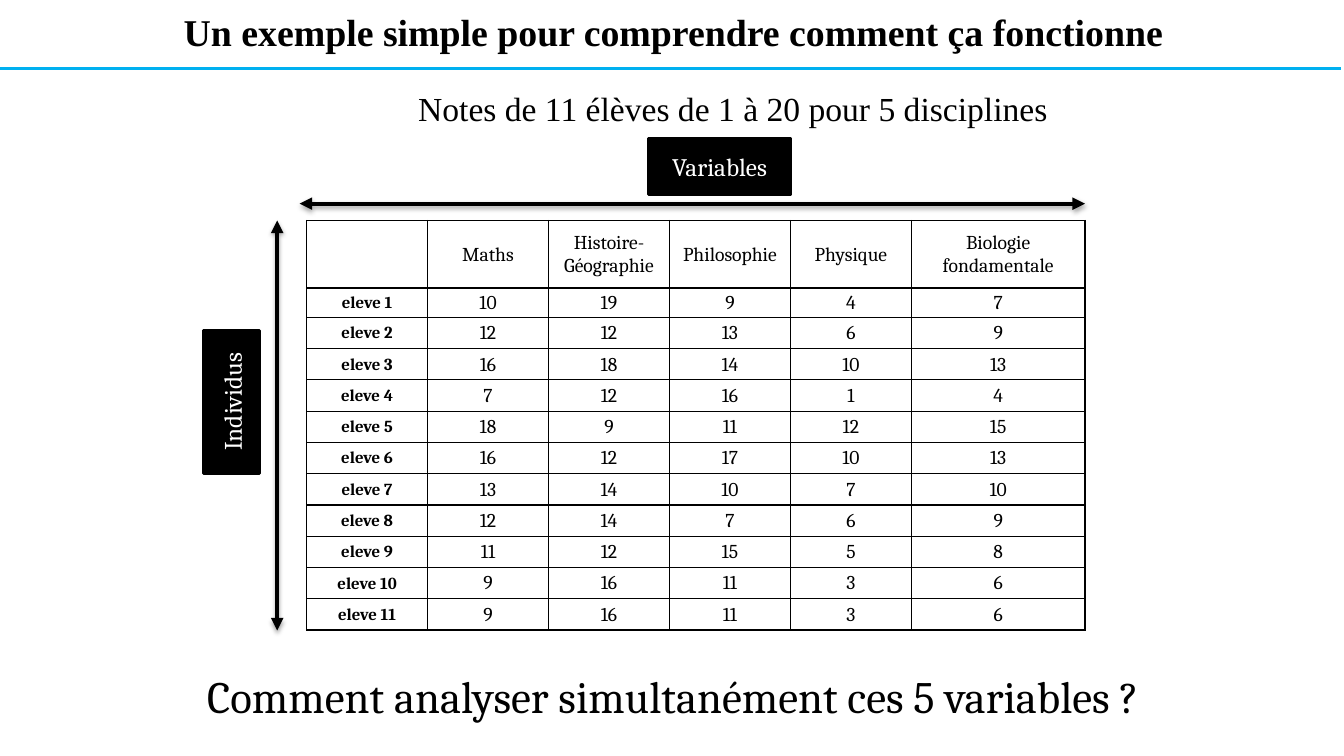
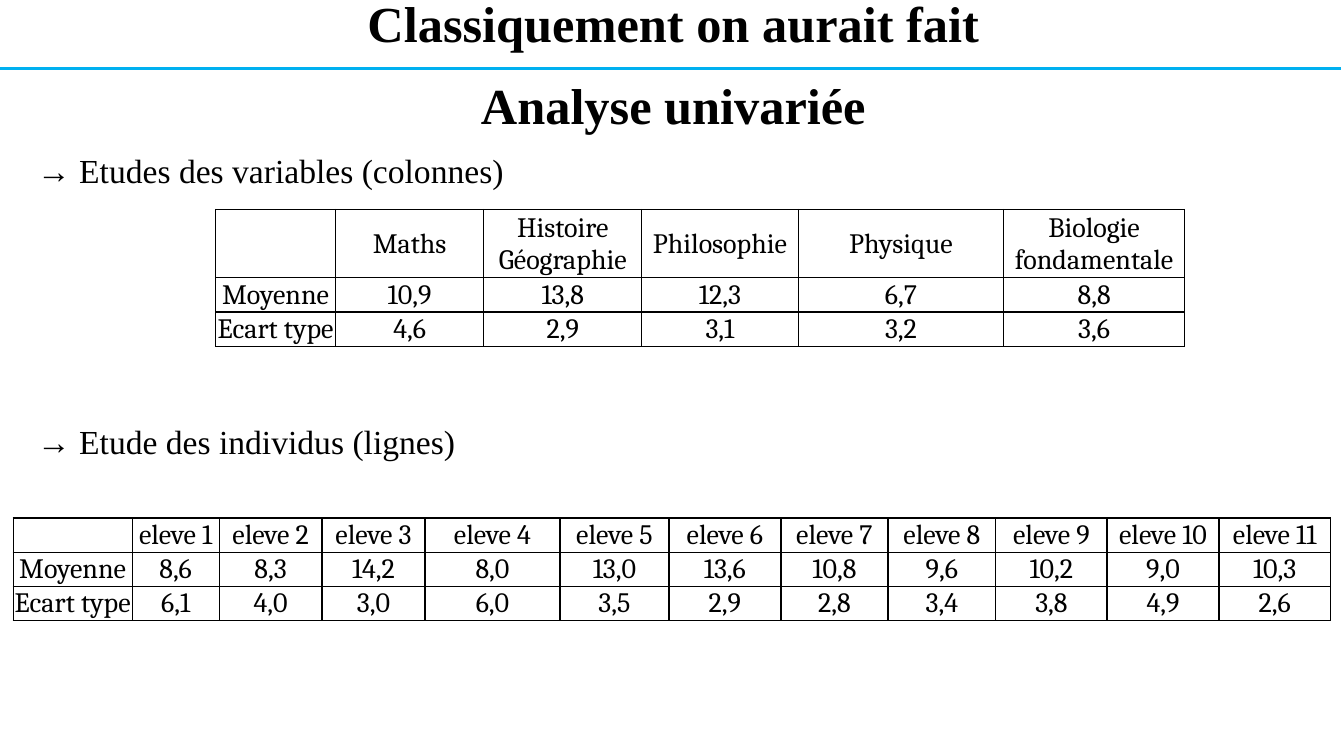
from dataclasses import dataclass

from lxml import etree
from pptx import Presentation
from pptx.dml.color import RGBColor
from pptx.enum.shapes import MSO_CONNECTOR, MSO_SHAPE
from pptx.enum.text import MSO_ANCHOR, MSO_AUTO_SIZE, PP_ALIGN
from pptx.oxml.ns import qn
from pptx.util import Pt

LEFT, CENTER = PP_ALIGN.LEFT, PP_ALIGN.CENTER
TOP, MIDDLE, BOTTOM = MSO_ANCHOR.TOP, MSO_ANCHOR.MIDDLE, MSO_ANCHOR.BOTTOM
STRAIGHT, RECT = MSO_CONNECTOR.STRAIGHT, MSO_SHAPE.RECTANGLE
NO_FIT = MSO_AUTO_SIZE.NONE
TITLE_ONLY = 5


@dataclass(frozen=True)
class Theme:
    ink: str = "000000"
    paper: str = "FFFFFF"
    accent: str = "00B0F0"
    serif: str = "Times New Roman"
    body: str = "Cambria"
    heading: int = 36
    question: int = 32
    long_title: int = 27
    lead: int = 24
    stats: int = 20
    label: int = 18
    marks: int = 14
    pupil: int = 12


T = Theme()
PUPILS = [f"eleve {n}" for n in range(1, 12)]
MARKS = [
    (10, 19, 9, 4, 7), (12, 12, 13, 6, 9), (16, 18, 14, 10, 13),
    (7, 12, 16, 1, 4), (18, 9, 11, 12, 15), (16, 12, 17, 10, 13),
    (13, 14, 10, 7, 10), (12, 14, 7, 6, 9), (11, 12, 15, 5, 8),
    (9, 16, 11, 3, 6), (9, 16, 11, 3, 6),
]
MARK_ROWS = [
    ["", "Maths", "Histoire-Géographie", "Philosophie", "Physique", "Biologie fondamentale"],
    *([pupil, *marks] for pupil, marks in zip(PUPILS, MARKS)),
]
SUBJECT_ROWS = [
    ["", "Maths", "Histoire Géographie", "Philosophie", "Physique", "Biologie fondamentale"],
    ["Moyenne", "10,9", "13,8", "12,3", "6,7", "8,8"],
    ["Ecart type", "4,6", "2,9", "3,1", "3,2", "3,6"],
]
PUPIL_ROWS = [
    ["", *PUPILS],
    ["Moyenne", "8,6", "8,3", "14,2", "8,0", "13,0", "13,6", "10,8", "9,6", "10,2", "9,0", "10,3"],
    ["Ecart type", "6,1", "4,0", "3,0", "6,0", "3,5", "2,9", "2,8", "3,4", "3,8", "4,9", "2,6"],
]


def pts(*values):
    return [Pt(v) for v in values]


def set_all(obj, values):
    for name, value in values.items():
        setattr(obj, name, value)


def write(tf, text, size, font=T.body, color=T.ink, bold=False, align=CENTER, anchor=TOP):
    set_all(tf, {"word_wrap": True, "auto_size": NO_FIT, "vertical_anchor": anchor})
    p = tf.paragraphs[0]
    p.alignment = align
    r = p.add_run()
    r.text = text
    set_all(r.font, {"name": font, "size": Pt(size), "bold": bold})
    r.font.color.rgb = RGBColor.from_string(color)
    return p


def add_text(s, box, text, size, **style):
    sp = s.shapes.add_textbox(*pts(*box))
    write(sp.text_frame, text, size, **style)


def add_line(s, start, end, color, width):
    line = s.shapes.add_connector(STRAIGHT, *pts(*start, *end))
    line.line.color.rgb = RGBColor.from_string(color)
    line.line.width = Pt(width)
    effects = etree.SubElement(line._element.spPr, qn("a:effectLst"))
    return line, effects


def add_arrow(s, start, end):
    line, effects = add_line(s, start, end, T.ink, 3)
    ln = line.line._get_or_add_ln()
    for tag in ("a:headEnd", "a:tailEnd"):
        etree.SubElement(ln, qn(tag), type="triangle")
    shadow = etree.SubElement(
        effects, qn("a:outerShdw"), blurRad=str(Pt(3.1)), dist=str(Pt(1.8)),
        dir="5400000", rotWithShape="0")
    color = etree.SubElement(shadow, qn("a:srgbClr"), val=T.ink)
    etree.SubElement(color, qn("a:alpha"), val="35000")


def add_label(s, center, text, rotation=0):
    w, h = 102, 40
    x, y = center
    sp = s.shapes.add_shape(RECT, *pts(x - w / 2, y - h / 2, w, h))
    sp.rotation = rotation
    sp.shadow.inherit = False
    sp.fill.solid()
    sp.fill.fore_color.rgb = RGBColor.from_string(T.ink)
    sp.line.color.rgb = RGBColor.from_string(T.ink)
    sp.line.width = Pt(2)
    write(sp.text_frame, text, T.label, color=T.paper, anchor=MIDDLE)


def add_borders(cell):
    tc_pr = cell._tc.get_or_add_tcPr()
    for side in ("a:lnL", "a:lnR", "a:lnT", "a:lnB"):
        ln = etree.SubElement(tc_pr, qn(side), w=str(Pt(1)))
        fill = etree.SubElement(ln, qn("a:solidFill"))
        etree.SubElement(fill, qn("a:srgbClr"), val=T.ink)


def add_grid(s, origin, rows, widths, heights, size, first_column=None):
    frame = s.shapes.add_table(
        len(rows), len(widths), *pts(*origin, sum(widths), sum(heights)))
    table = frame.table
    set_all(table, {"first_row": False, "horz_banding": False})
    for column, width in zip(table.columns, widths):
        column.width = Pt(width)
    for row, height in zip(table.rows, heights):
        row.height = Pt(height)
    for i, values in enumerate(rows):
        for j, value in enumerate(values):
            cell = table.cell(i, j)
            add_borders(cell)
            cell.fill.background()
            set_all(cell, {
                "margin_left": Pt(0.7), "margin_right": Pt(0.7), "margin_top": Pt(0.7),
                "margin_bottom": 0, "vertical_anchor": MIDDLE})
            if value != "":
                special = first_column if first_column and j == 0 else {"size": size}
                p = cell.text_frame.paragraphs[0]
                p.alignment = CENTER
                r = p.add_run()
                r.text = str(value)
                set_all(r.font, {"name": T.body, "size": Pt(special["size"]),
                                 "bold": special.get("bold", False)})
                r.font.color.rgb = RGBColor.from_string(T.ink)


def titled_slide(prs, text, size, top, height, spacing):
    s = prs.slides.add_slide(prs.slide_layouts[TITLE_ONLY])
    title = s.shapes.title
    box = dict(zip(("left", "top", "width", "height"), pts(121, top, 720, height)))
    set_all(title, box)
    tf = title.text_frame
    set_all(tf, {"margin_left": Pt(5), "margin_right": Pt(5),
                 "margin_top": Pt(2.7), "margin_bottom": Pt(2.7)})
    p = write(tf, text, size, font=T.serif, bold=True, anchor=BOTTOM)
    p.line_spacing = spacing
    add_line(s, (0, 49), (958, 49), T.accent, 2.25)
    return s


def marks_panel(s, x, y):
    widths = [86.4] * 5 + [124]
    heights = [48.2, 21] + [22.36] * 10
    right, bottom = x + sum(widths), y + sum(heights)
    add_label(s, (x + 295, y - 38.5), "Variables")
    add_label(s, (x - 53.5, y + 129.5), "Individus", rotation=270)
    add_arrow(s, (x - 21, y), (x - 21, bottom))
    add_arrow(s, (right, y - 12), (x - 5, y - 12))
    add_grid(s, (x, y), MARK_ROWS, widths, heights, T.marks,
             first_column={"size": T.pupil, "bold": True})


def stats_panel(s, y, caption, grid_origin, rows, widths, heights):
    add_text(s, (19.5, y, 361, 36), caption, T.lead, font=T.serif, align=LEFT)
    x, offset = grid_origin
    add_grid(s, (x, y + offset), rows, widths, heights, T.stats)


def example_slide(prs):
    s = titled_slide(prs, "Un exemple simple pour comprendre comment ça fonctionne",
                     T.long_title, 5.8, 34.5, 0.7)
    add_text(s, (236, 59, 575, 36), "Notes de 11 élèves de 1 à 20 pour 5 disciplines",
             T.lead, font=T.serif)
    marks_panel(s, 219, 157.5)
    add_text(s, (121.5, 474, 719, 47.5), "Comment analyser simultanément ces 5 variables ?",
             T.question)


def univariate_slide(prs):
    s = titled_slide(prs, "Classiquement on aurait fait", T.heading, 1.4, 39.6, 0.9)
    add_text(s, (121, 49.7, 720, 51), "Analyse univariée", T.heading, font=T.serif, bold=True)
    line = 24.4
    stats_panel(s, 103.7, "→ Etudes des variables (colonnes)", (154, 46), SUBJECT_ROWS,
                [85.7, 105.8, 113, 111.6, 147, 129], [2 * line, line, line])
    stats_panel(s, 297.4, "→ Etude des individus (lignes)", (9.4, 72.6), PUPIL_ROWS,
                [85, 62.2, 73.5, 73.5, 96.5, 77.8, 80, 76.5, 77, 79.5, 80, 79.5], [line] * 3)


def main():
    prs = Presentation()
    set_all(prs, {"slide_width": Pt(960), "slide_height": Pt(540)})
    example_slide(prs)
    univariate_slide(prs)
    prs.save("out.pptx")


if __name__ == "__main__":
    main()
